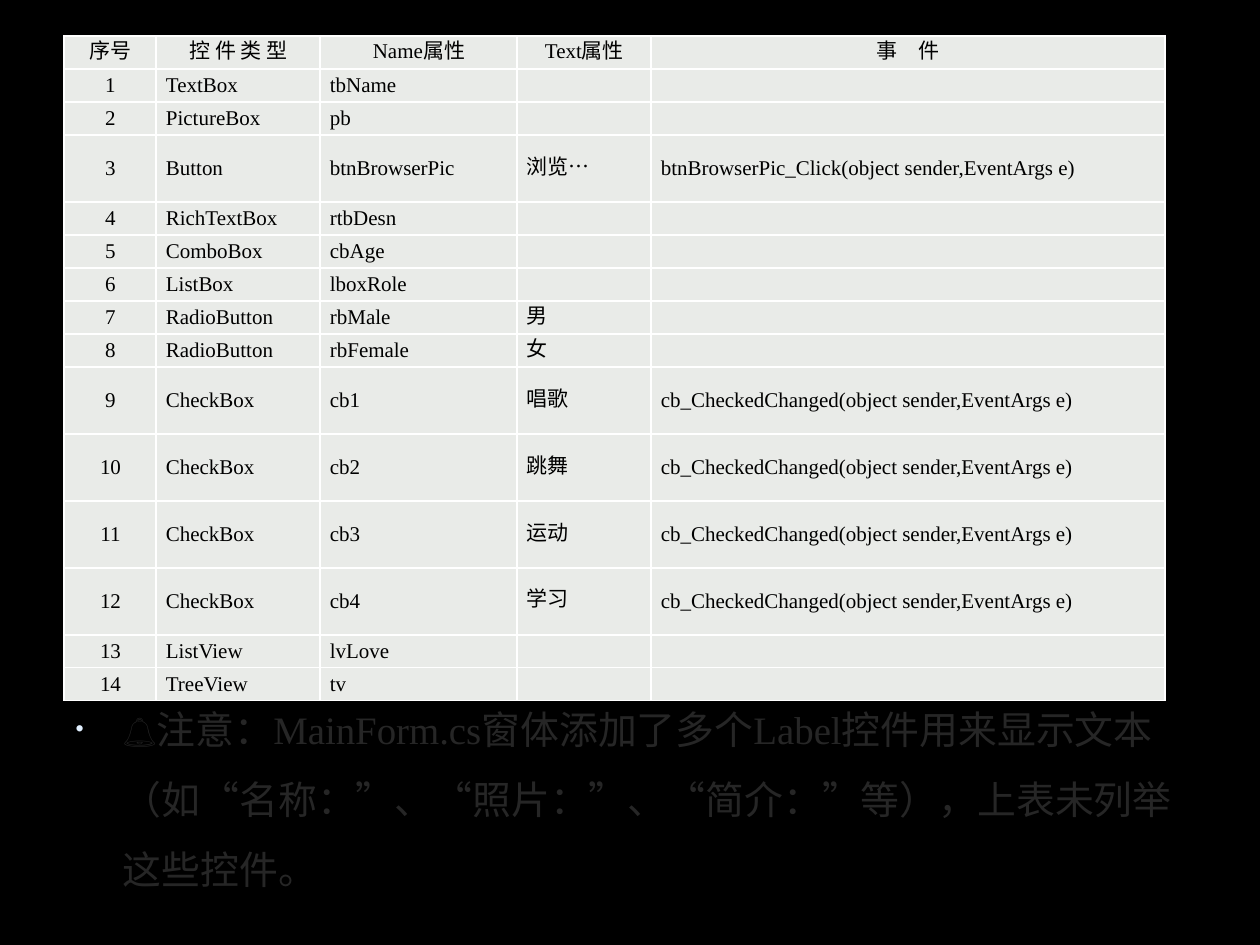
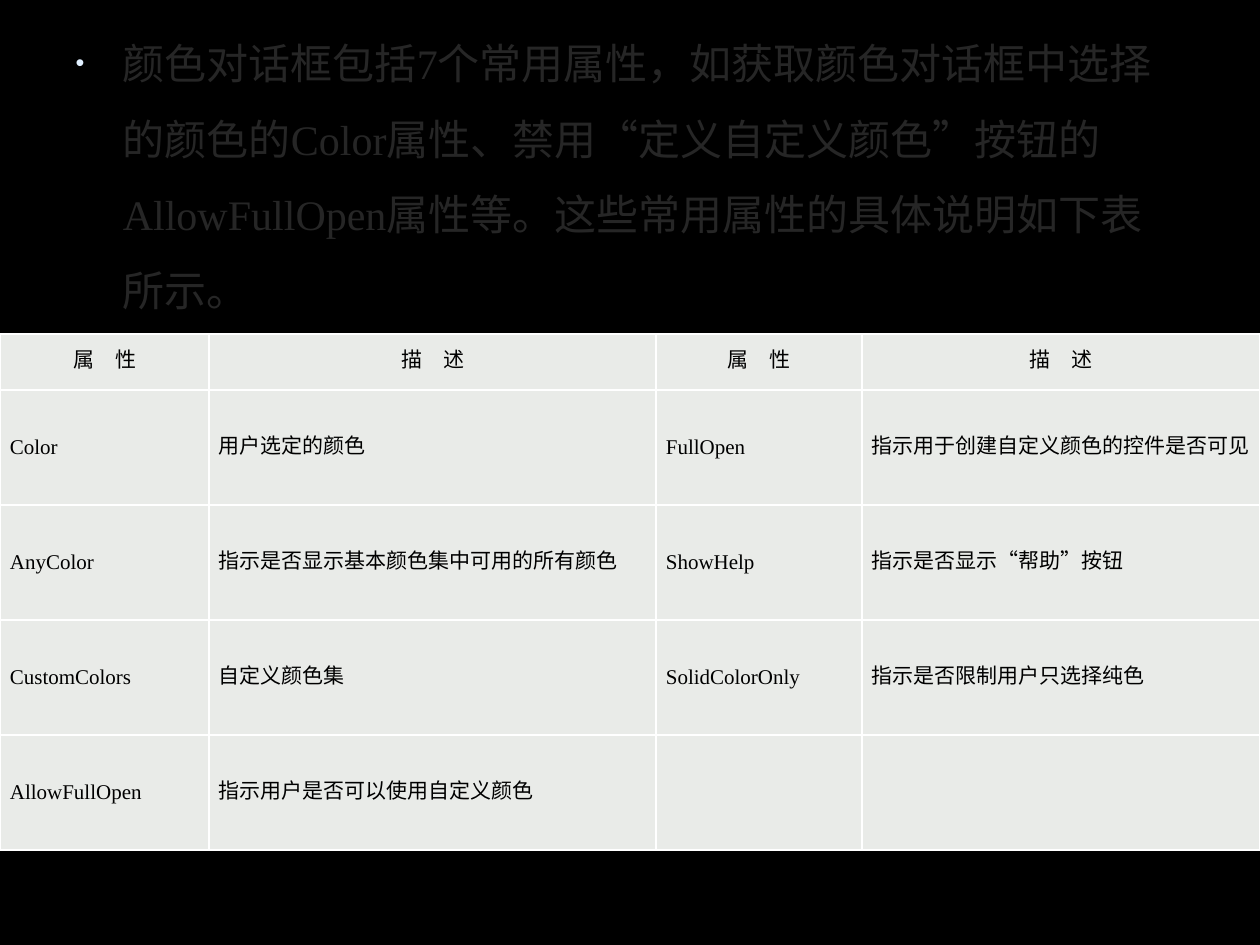
from dataclasses import dataclass

from pptx import Presentation
from pptx.dml.color import RGBColor
from pptx.enum.text import MSO_ANCHOR as Anchor, MSO_AUTO_SIZE as AutoSize, PP_ALIGN as Align
from pptx.oxml import parse_xml
from pptx.oxml.ns import nsdecls
from pptx.util import Emu, Pt

# Shared look
BLACK = RGBColor(0x00, 0x00, 0x00)
WHITE = RGBColor(0xFF, 0xFF, 0xFF)
NOTE_GREY = RGBColor(0x26, 0x26, 0x26)
CELL_GREY = RGBColor(0xE9, 0xEB, 0xE8)
BULLET_BLUE = RGBColor(0xE1, 0xF0, 0xFF)
SERIF, SANS = "Times New Roman", "Arial"
PX_PER_INCH = 126
PAGE_WIDTH, PAGE_HEIGHT = 1260, 945
BODY_LEFT, BODY_WIDTH = 63, 1134
CELL_LEFT_MARGIN, CELL_RIGHT_MARGIN = 10, 9
CELL_SIZE = 12


@dataclass(frozen=True)
class Span:
    text: str
    font: str = SERIF
    bold: bool = False


@dataclass(frozen=True)
class Note:
    top: int
    size: float
    spans: tuple[Span, ...]


@dataclass(frozen=True)
class Grid:
    left: int
    top: int
    columns: tuple[int, ...]
    row_heights: tuple[int, ...]
    rows: list[tuple[str, ...]]
    centred_columns: tuple[int, ...] = ()


def px(length: int) -> Emu:
    return Emu(round(length * 914400 / PX_PER_INCH))


def add_span(para, text: str, *, size: float, color: RGBColor,
             font: str = SERIF, bold: bool = False) -> None:
    span = para.add_run()
    span.text = text
    span.font.name = font
    span.font.size = Pt(size)
    span.font.bold = bold
    span.font.color.rgb = color


def add_page(deck):
    page = deck.slides.add_slide(deck.slide_layouts[1])
    page.background.fill.solid()
    page.background.fill.fore_color.rgb = BLACK
    title = page.shapes.title.element
    title.getparent().remove(title)
    return page


def fill_body(page, note: Note) -> None:
    box = page.placeholders[1]
    box.left, box.top = px(BODY_LEFT), px(note.top)
    box.width, box.height = px(BODY_WIDTH), px(PAGE_HEIGHT - note.top)
    box.text_frame.auto_size = AutoSize.NONE
    para = box.text_frame.paragraphs[0]
    para.line_spacing = 1.5
    # Bullet colour and size
    props = para._p.get_or_add_pPr()
    props.append(parse_xml(f'<a:buClr {nsdecls("a")}><a:srgbClr val="{BULLET_BLUE}"/></a:buClr>'))
    props.append(parse_xml(f'<a:buSzPct {nsdecls("a")} val="60000"/>'))
    for span in note.spans:
        add_span(para, span.text, size=note.size, color=NOTE_GREY, font=span.font, bold=span.bold)


def format_cell(cell, text: str, align: Align) -> None:
    # Borders come before the fill in the cell properties
    props = cell._tc.get_or_add_tcPr()
    for side in ("lnL", "lnR", "lnT", "lnB"):
        props.append(parse_xml(
            f'<a:{side} {nsdecls("a")} w="12700"><a:solidFill>'
            f'<a:srgbClr val="{WHITE}"/></a:solidFill></a:{side}>'))
    cell.fill.solid()
    cell.fill.fore_color.rgb = CELL_GREY
    cell.margin_left, cell.margin_right = px(CELL_LEFT_MARGIN), px(CELL_RIGHT_MARGIN)
    cell.margin_top = cell.margin_bottom = 0
    cell.vertical_anchor = Anchor.MIDDLE
    para = cell.text_frame.paragraphs[0]
    para.alignment = align
    para.line_spacing = Pt(13.5)
    para.space_after = Pt(1)
    if text:
        add_span(para, text, size=CELL_SIZE, color=BLACK)
    else:
        # Keeps an empty cell from stretching its row
        para._p.append(parse_xml(f'<a:endParaRPr {nsdecls("a")} sz="{CELL_SIZE * 100}"/>'))


def add_grid(page, grid: Grid) -> None:
    frame = page.shapes.add_table(
        len(grid.rows), len(grid.columns), px(grid.left), px(grid.top),
        px(sum(grid.columns)), px(sum(grid.row_heights)))
    table = frame.table
    table.first_row = table.horz_banding = False
    for column, width in zip(table.columns, grid.columns):
        column.width = px(width)
    for row, height in zip(table.rows, grid.row_heights):
        row.height = px(height)
    for r, texts in enumerate(grid.rows):
        for c, text in enumerate(texts):
            centred = r == 0 or c in grid.centred_columns
            format_cell(table.cell(r, c), text, Align.CENTER if centred else Align.JUSTIFY)


# Page 1: controls of the main form
CONTROLS = [
    ("TextBox", "tbName", "", ""),
    ("PictureBox", "pb", "", ""),
    ("Button", "btnBrowserPic", "浏览…", "btnBrowserPic_Click(object sender,EventArgs e)"),
    ("RichTextBox", "rtbDesn", "", ""),
    ("ComboBox", "cbAge", "", ""),
    ("ListBox", "lboxRole", "", ""),
    ("RadioButton", "rbMale", "男", ""),
    ("RadioButton", "rbFemale", "女", ""),
    *(("CheckBox", f"cb{i}", hobby, "cb_CheckedChanged(object sender,EventArgs e)")
      for i, hobby in enumerate(("唱歌", "跳舞", "运动", "学习"), 1)),
    ("ListView", "lvLove", "", ""),
    ("TreeView", "tv", "", ""),
]
CONTROL_GRID = Grid(
    left=64, top=36, columns=(92, 164, 197, 134, 514),
    # Rows with an event are taller
    row_heights=(33, *(67 if control[-1] else 33 for control in CONTROLS)),
    rows=[("序号", "控 件 类 型", "Name属性", "Text属性", "事　件"),
          *((str(i), *control) for i, control in enumerate(CONTROLS, 1))],
    centred_columns=(0,),
)
CONTROL_NOTE = Note(top=676, size=22.2, spans=(
    Span("🔔", bold=True),
    Span("注意：", font=SANS),
    Span("MainForm.cs窗体添加了多个Label控件用来显示文本（如“名称：”、“照片：”、“简介：”等），"
         "上表未列举这些控件。"),
))

# Page 2: properties of the colour dialog
PROPERTY_GRID = Grid(
    left=0, top=334, columns=(209, 447, 206, 398), row_heights=(56, *[115] * 4),
    rows=[("属　性", "描　述") * 2,
          ("Color", "用户选定的颜色", "FullOpen", "指示用于创建自定义颜色的控件是否可见"),
          ("AnyColor", "指示是否显示基本颜色集中可用的所有颜色", "ShowHelp", "指示是否显示“帮助”按钮"),
          ("CustomColors", "自定义颜色集", "SolidColorOnly", "指示是否限制用户只选择纯色"),
          ("AllowFullOpen", "指示用户是否可以使用自定义颜色", "", "")],
)
PROPERTY_NOTE = Note(top=6, size=24, spans=(
    Span("颜色对话框包括7个常用属性，如获取颜色对话框中选择的颜色的Color属性、"
         "禁用“定义自定义颜色”按钮的AllowFullOpen属性等。这些常用属性的具体说明如下表所示。"),
))


def main() -> None:
    deck = Presentation()
    deck.slide_width, deck.slide_height = px(PAGE_WIDTH), px(PAGE_HEIGHT)
    for note, grid in ((CONTROL_NOTE, CONTROL_GRID), (PROPERTY_NOTE, PROPERTY_GRID)):
        page = add_page(deck)
        fill_body(page, note)
        add_grid(page, grid)
    deck.save("out.pptx")


if __name__ == "__main__":
    main()
